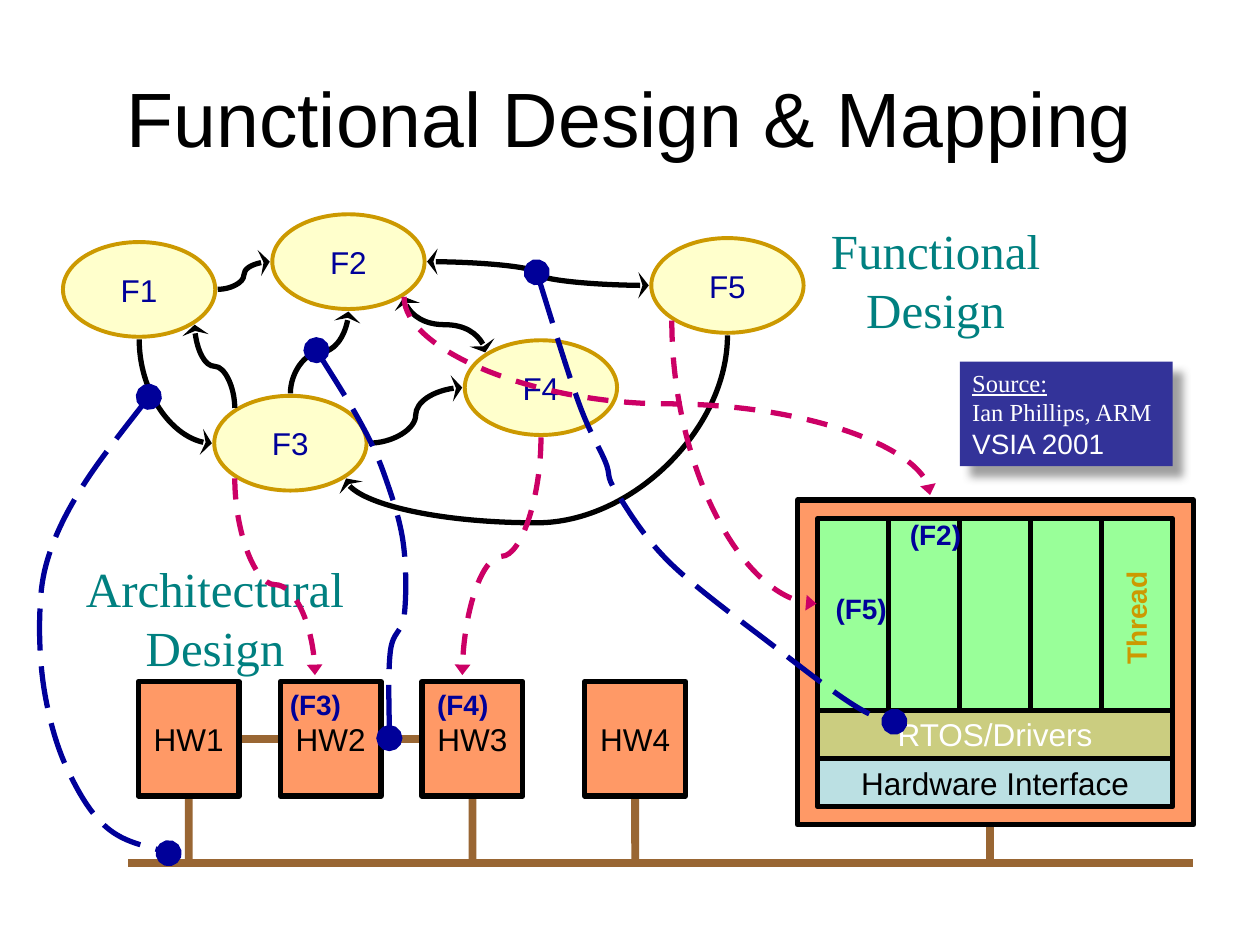
from pptx import Presentation
from pptx import util as u
from pptx.dml.color import RGBColor
from pptx.enum import dml, shapes, text
from pptx.oxml import parse_xml
from pptx.oxml.ns import nsdecls, qn
from lxml import etree
from math import sqrt

BLACK = RGBColor(0x00, 0x00, 0x00)
WHITE = RGBColor(0xFF, 0xFF, 0xFF)
NAVY = RGBColor(0x00, 0x00, 0x99)
TEAL = RGBColor(0x00, 0x80, 0x80)
GOLD = RGBColor(0xCC, 0x99, 0x00)
CREAM = RGBColor(0xFF, 0xFF, 0xCC)
CORAL = RGBColor(0xFF, 0x99, 0x66)
GREEN = RGBColor(0x99, 0xFF, 0x99)
ICE = RGBColor(0xBB, 0xE0, 0xE3)
BROWN = RGBColor(0x99, 0x66, 0x33)
PINK = RGBColor(0xCC, 0x00, 0x66)
INDIGO = RGBColor(0x33, 0x33, 0x99)

SERIF = "Times New Roman"
RECT = shapes.MSO_SHAPE.RECTANGLE
OVAL = shapes.MSO_SHAPE.OVAL
KIND = shapes.MSO_CONNECTOR
DASH = dml.MSO_LINE
TIPS = {"stealth": ("lg", "sm"), "triangle": ("med", "sm"), "oval": ("lg", "lg")}
SIDES = {"n": (0, -1), "s": (0, 1), "w": (-1, 0), "e": (1, 0)}


def style(para, size, color, font="Arial", bold=False):
    para.font.size = u.Pt(size)
    para.font.name = font
    para.font.bold = bold
    para.font.color.rgb = color


def write(shape, words, size, color, font="Arial", bold=False, wrap=True):
    frame = shape.text_frame
    frame.word_wrap = wrap
    frame.vertical_anchor = text.MSO_ANCHOR.MIDDLE
    para = frame.paragraphs[0]
    para.text = words
    para.alignment = text.PP_ALIGN.CENTER
    style(para, size, color, font, bold)


def block(slide, form, x, y, w, h, fill, edge=BLACK, width=3, words="", ink=BLACK):
    shape = slide.shapes.add_shape(form, u.Cm(x), u.Cm(y), u.Cm(w), u.Cm(h))
    shape.shadow.inherit = False
    shape.fill.solid()
    shape.fill.fore_color.rgb = fill
    shape.line.color.rgb = edge
    shape.line.width = u.Pt(width)
    if words:
        write(shape, words, 18, ink, wrap=False)
    return shape


def label(slide, x, y, w, h, words, size, color, font="Arial", bold=False):
    shape = slide.shapes.add_textbox(u.Cm(x), u.Cm(y), u.Cm(w), u.Cm(h))
    write(shape, words, size, color, font, bold)
    return shape


def wire(slide, start, end, kind=KIND.STRAIGHT, color=BROWN, width=4.5):
    line = slide.shapes.add_connector(kind, *(u.Cm(v) for v in (*start, *end)))
    line.line.color.rgb = color
    line.line.width = u.Pt(width)
    etree.SubElement(line._element.spPr, qn("a:effectLst"))
    return line


def cap(shape, head, tail):
    edge = shape.line._get_or_add_ln()
    for tag, tip in (("a:headEnd", head), ("a:tailEnd", tail)):
        if tip:
            wide, long = TIPS[tip]
            etree.SubElement(edge, qn(tag), type=tip, w=wide, len=long)


def curve(slide, start, end, turn, adj=0.5, color=BLACK, head=None, tail="stealth"):
    (ax, ay), (bx, by) = start, end
    dx, dy = bx - ax, by - ay
    w, h = (abs(dy), abs(dx)) if turn else (abs(dx), abs(dy))
    x, y = (ax + bx - w) / 2, (ay + by - h) / 2
    line = wire(slide, (x, y), (x + w, y + h), KIND.CURVE, color, 3)
    frame = line._element.spPr.find(qn("a:xfrm"))
    if turn:
        frame.set("rot", str((270 if dx > 0 else 90) * 60000))
        if (dx > 0) == (dy > 0):
            frame.set("flipH", "1")
    elif dy < 0:
        frame.set("flipV", "1")
    geom = line._element.spPr.find(qn("a:prstGeom"))
    if adj is None:
        geom.set("prst", "curvedConnector2")
    else:
        etree.SubElement(geom.find(qn("a:avLst")), qn("a:gd"), name="adj1",
                         fmla=f"val {round(adj * 100000)}")
    if color == PINK:
        line.line.dash_style = DASH.DASH
    cap(line, head, tail)


def smooth(stops):
    ends = [stops[0], *stops, stops[-1]]
    dots = [stops[0]]
    for a, b, c, d in zip(ends, ends[1:], ends[2:], ends[3:]):
        dots.append(tuple(q + (r - p) / 6 for p, q, r in zip(a, b, c)))
        dots.append(tuple(r - (s - q) / 6 for q, r, s in zip(b, c, d)))
        dots.append(c)
    return dots


def route(slide, x, y, stops):
    dots = [(u.Cm(x + a), u.Cm(y + b)) for a, b in smooth(stops)]
    build = slide.shapes.build_freeform(*dots[0], scale=1.0)
    build.add_line_segments(dots[1:], close=False)
    shape = build.convert_to_shape()
    shape.shadow.inherit = False
    shape.fill.background()
    shape.line.color.rgb = NAVY
    shape.line.width = u.Pt(3)
    shape.line.dash_style = DASH.LONG_DASH
    cap(shape, "oval", "oval")
    legs = list(shape._element.iter(qn("a:lnTo")))
    for i in range(0, len(legs), 3):
        bend = etree.Element(qn("a:cubicBezTo"))
        legs[i].addprevious(bend)
        for leg in legs[i:i + 3]:
            bend.append(leg[0])
            leg.getparent().remove(leg)


def title(slide, x, y, w, h):
    head = slide.shapes.title
    head.left, head.top, head.width, head.height = (u.Cm(v) for v in (x, y, w, h))
    write(head, "Functional Design & Mapping", 44, BLACK)


def stack(slide, x, y, w, h):
    block(slide, RECT, x, y, w, h, CORAL)
    x, y, w = x + 0.4, y + 0.38, w - 0.82
    tall, row, cell = 3.86, 0.97, w / 5
    block(slide, RECT, x, y + tall + row, w, row, ICE, words="Hardware Interface")
    rtos = block(slide, RECT, x, y + tall, w, row, GREEN, words="RTOS/Drivers", ink=WHITE)
    tint = rtos._element.spPr.find(qn("a:solidFill"))[0]
    etree.SubElement(tint, qn("a:alpha"), val="51000")
    for i in range(5):
        block(slide, RECT, x + i * cell, y, cell, tall, GREEN)
    name = label(slide, x + 5.16, y + 1.55, 2.51, 0.91, "Thread", 16, GOLD, bold=True)
    name.rotation = 270


def arch(slide, x, y, w, h):
    base, wide, tall, pitch = y + h, 2.03, 2.31, 2.86
    lefts = [x + 0.2 + i * pitch for i in range(3)] + [x + 9.2]
    drops = [wire(slide, (x, base), (left + wide / 2, base)) for left in lefts if left != lefts[1]]
    links = [wire(slide, (x, y), (x, y)) for _ in range(2)]
    units = [block(slide, RECT, left, base - 3.66, wide, tall, CORAL, words=f"HW{i}")
             for i, left in enumerate(lefts, 1)]
    wire(slide, (x + 17.37, base - 1), (x + 17.37, base))
    wire(slide, (x, base), (x + w, base))
    stack(slide, x + 13.49, y, 7.98, 6.55)
    for drop, unit in zip(drops, (units[0], *units[2:])):
        drop.begin_connect(unit, 2)
    for link, near, far in zip(links, units, units[1:]):
        link.begin_connect(near, 3)
        link.end_connect(far, 1)
    label(slide, x - 1.62, y + 1.05, 6.73, 2.62, "Architectural\nDesign", 28, TEAL, SERIF)


def flow(slide, x, y):
    wide, tall, gap = 3.07, 1.91, 0.05
    nodes = {"F1": (0, 0.56), "F2": (4.22, 0), "F3": (3.05, 3.66),
             "F4": (8.1, 2.54), "F5": (11.86, 0.48)}
    for name, (a, b) in nodes.items():
        block(slide, OVAL, x + a, y + b, wide, tall, CREAM, GOLD, 2.25, name, NAVY)

    def site(name, side):
        a, b = nodes[name]
        dx, dy = (sum(SIDES[s][k] for s in side) / sqrt(len(side)) for k in (0, 1))
        return x + a + wide / 2 + dx * (wide / 2 + gap), y + b + tall / 2 + dy * (tall / 2 + gap)

    edges = [("F2", "e", "F5", "w", 0.5, "stealth"), ("F1", "s", "F3", "w", None, None),
             ("F3", "n", "F2", "s", 0.5, None), ("F3", "e", "F4", "w", 0.5, None),
             ("F3", "nw", "F1", "se", 0.5, None), ("F1", "e", "F2", "w", 0.5, None),
             ("F5", "s", "F3", "se", 1.31, None), ("F4", "nw", "F2", "se", 0.5, "stealth")]
    for near, out, far, into, adj, head in edges:
        curve(slide, site(near, out), site(far, into), out != "e", adj, head=head)
    label(slide, x + 12.93, y, 9.32, 2.62, "Functional\nDesign", 28, TEAL, SERIF)
    return site


def maps(slide, x, y, site):
    bus = [(3, 8), (1.68, 9.78), (0.99, 11.18), (0.8, 12.45), (0.91, 14.02),
           (1.35, 15.49), (2.16, 16.69), (3.4, 17.2)]
    link = [(6.38, 7.06), (7.29, 8.56), (7.77, 9.63), (8.13, 10.95), (8.15, 12.4),
            (7.87, 13.13), (7.85, 14.88)]
    rtos = [(10.82, 5.49), (11.66, 8.1), (12.2, 9.3), (12.42, 9.91), (13.51, 11.35),
            (15.67, 13.08), (17.22, 14.22), (18.03, 14.55)]
    for stops in (bus, link, rtos):
        route(slide, x, y, stops)
    goals = [("F4", "s", (9.32, 13.61), 0.5, (8.48, 13.72)),
             ("F3", "sw", (6.35, 13.61), 0.54, (5.51, 13.72)),
             ("F5", "sw", (16.46, 12.17), None, (16.51, 11.79)),
             ("F2", "se", (18.75, 9.98), 0.54, (18.01, 10.31))]
    for name, side, (a, b), adj, _ in goals:
        curve(slide, site(name, side), (x + a, y + b), True, adj, PINK, tail="triangle")
    for name, _, _, _, (a, b) in goals:
        label(slide, x + a, y + b, 1.7, 0.94, f"({name})", 16, NAVY, bold=True)


def note(slide, x, y, w, h):
    card = block(slide, RECT, x, y, w, h, INDIGO)
    card.line.fill.background()
    card._element.spPr.find(qn("a:effectLst")).append(parse_xml(
        f'<a:outerShdw {nsdecls("a")} blurRad="63500" dist="107950" dir="2700000" algn="ctr">'
        '<a:srgbClr val="808080"><a:alpha val="75000"/></a:srgbClr></a:outerShdw>'))
    frame = card.text_frame
    frame.word_wrap = True
    frame.vertical_anchor = text.MSO_ANCHOR.TOP
    who, when = frame.paragraphs[0], frame.add_paragraph()
    lead = who.add_run()
    lead.text = "Source:"
    lead.font.underline = True
    who.add_line_break()
    who.add_run().text = "Ian Phillips, ARM"
    when.text = "VSIA 2001"
    for para, size, font in ((who, 14, SERIF), (when, 16, "Arial")):
        para.alignment = text.PP_ALIGN.LEFT
        style(para, size, WHITE, font)


def main():
    deck = Presentation()
    deck.slide_width, deck.slide_height = u.Cm(25.4), u.Cm(19.05)
    slide = deck.slides.add_slide(deck.slide_layouts[5])
    title(slide, 1.27, 0.76, 22.86, 3.18)
    arch(slide, 2.59, 10.08, 21.46, 7.32)
    site = flow(slide, 1.27, 4.32)
    maps(slide, 0, 0, site)
    note(slide, 19.35, 7.29, 4.29, 2.11)
    deck.save("out.pptx")


if __name__ == "__main__":
    main()
